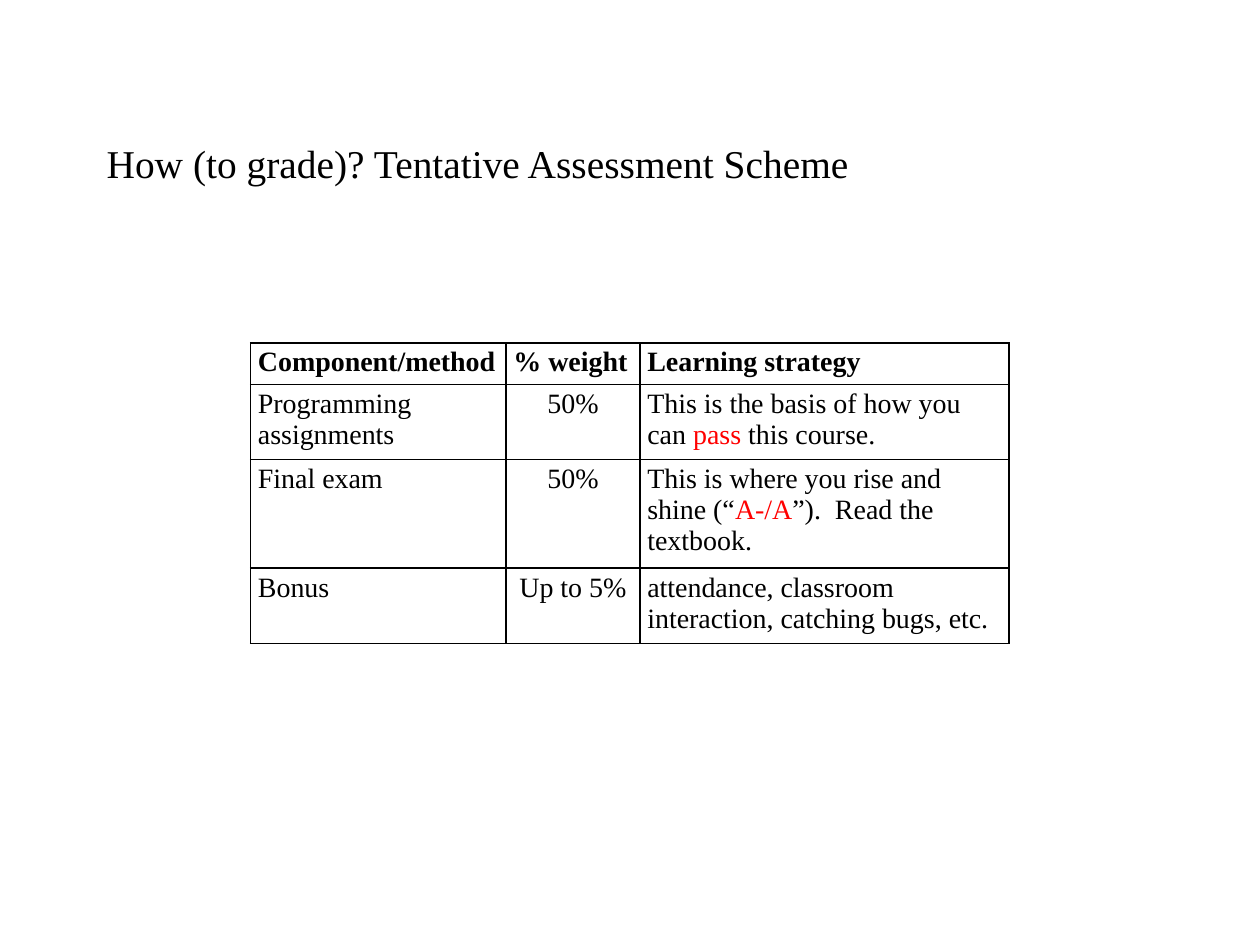
from dataclasses import dataclass

from lxml.etree import SubElement
from pptx import Presentation
from pptx.dml.color import RGBColor
from pptx.enum.text import MSO_ANCHOR, PP_ALIGN
from pptx.oxml.ns import qn
from pptx.util import Cm, Pt


@dataclass(frozen=True)
class Theme:
    font: str = "Times New Roman"
    ink: str = "000000"
    accent: str = "FF0000"
    title_size: float = 22.5
    table_size: float = 16
    border_width: float = 1


@dataclass(frozen=True)
class Span:
    text: str
    accent: bool = False


@dataclass(frozen=True)
class Entry:
    """One table row: the paragraphs of each cell, each a list of spans."""
    height: float
    cells: list[list[list[Span]]]


THEME = Theme()
COLUMN_WIDTHS = (5.15, 2.7, 7.44)
BODY_ALIGNMENTS = (PP_ALIGN.LEFT, PP_ALIGN.CENTER, PP_ALIGN.LEFT)
CELL_FORMAT = {
    "margin_left": Cm(0.15), "margin_right": Cm(0.15),
    "margin_top": Cm(0.08), "margin_bottom": Cm(0.08),
    "vertical_anchor": MSO_ANCHOR.TOP,
}


def plain(*lines: str) -> list[list[Span]]:
    return [[Span(line)] for line in lines]


HEADINGS = Entry(0.81, [plain("Component/method"), plain("% weight"), plain("Learning strategy")])
COMPONENTS = [
    Entry(1.47, [plain("Programming", "assignments"), plain("50%"),
                 [[Span("This is the basis of how you can "), Span("pass", True),
                   Span(" this course.")]]]),
    Entry(2.13, [plain("Final exam"), plain("50%"),
                 [[Span("This is where you rise and shine (“"), Span("A-/A", True),
                   Span("”).  Read the textbook.")]]]),
    Entry(1.47, [plain("Bonus"), plain("Up to 5%"),
                 plain("attendance, classroom interaction, catching bugs, etc.")]),
]


def apply_format(target, values: dict) -> None:
    for name, value in values.items():
        setattr(target, name, value)


def write_text(frame, paragraphs: list[list[Span]], size: float,
               alignment: PP_ALIGN, bold: bool = False) -> None:
    for index, spans in enumerate(paragraphs):
        para = frame.add_paragraph() if index else frame.paragraphs[0]
        para.alignment = alignment
        for span in spans:
            run = para.add_run()
            run.text = span.text
            apply_format(run.font, {"name": THEME.font, "size": Pt(size), "bold": bold})
            run.font.color.rgb = RGBColor.from_string(THEME.accent if span.accent else THEME.ink)


def add_borders(cell) -> None:
    properties = cell._tc.get_or_add_tcPr()
    for side in ("a:lnL", "a:lnR", "a:lnT", "a:lnB"):
        line = SubElement(properties, qn(side), w=str(Pt(THEME.border_width)))
        fill = SubElement(line, qn("a:solidFill"))
        SubElement(fill, qn("a:srgbClr"), val=THEME.ink)


def add_title(page, text: str) -> None:
    box = page.shapes.add_textbox(Cm(1.9), Cm(1.7), Cm(21.6), Cm(3.18))
    apply_format(box.text_frame, {"word_wrap": True, "vertical_anchor": MSO_ANCHOR.MIDDLE})
    write_text(box.text_frame, plain(text), THEME.title_size, PP_ALIGN.LEFT)


def add_scheme(page, entries: list[Entry]) -> None:
    frame = page.shapes.add_table(
        len(entries), len(COLUMN_WIDTHS), Cm(5.05), Cm(6.91),
        Cm(sum(COLUMN_WIDTHS)), Cm(sum(entry.height for entry in entries)))
    table = frame.table
    apply_format(table, {"first_row": False, "horz_banding": False})
    for column, width in zip(table.columns, COLUMN_WIDTHS):
        column.width = Cm(width)
    for row, entry in zip(table.rows, entries):
        row.height = Cm(entry.height)
        heading = entry is HEADINGS
        for cell, paragraphs, alignment in zip(row.cells, entry.cells, BODY_ALIGNMENTS):
            apply_format(cell, CELL_FORMAT)
            add_borders(cell)
            cell.fill.background()
            write_text(cell.text_frame, paragraphs, THEME.table_size,
                       PP_ALIGN.JUSTIFY if heading else alignment, bold=heading)


def main() -> None:
    deck = Presentation()
    apply_format(deck, {"slide_width": Cm(25.4), "slide_height": Cm(19.05)})
    page = deck.slides.add_slide(deck.slide_layouts[6])

    # Title
    add_title(page, "How (to grade)? Tentative Assessment Scheme")

    # Assessment table
    add_scheme(page, [HEADINGS, *COMPONENTS])

    deck.save("out.pptx")


if __name__ == "__main__":
    main()
